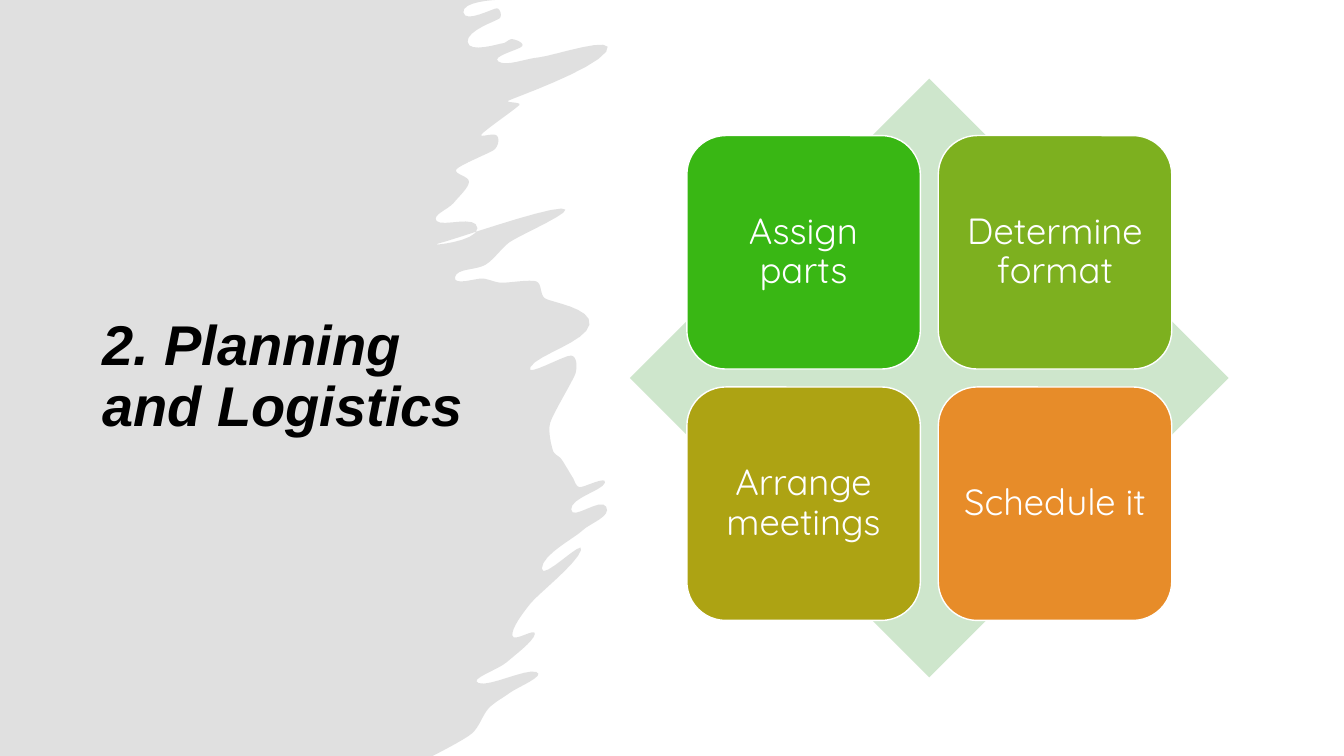
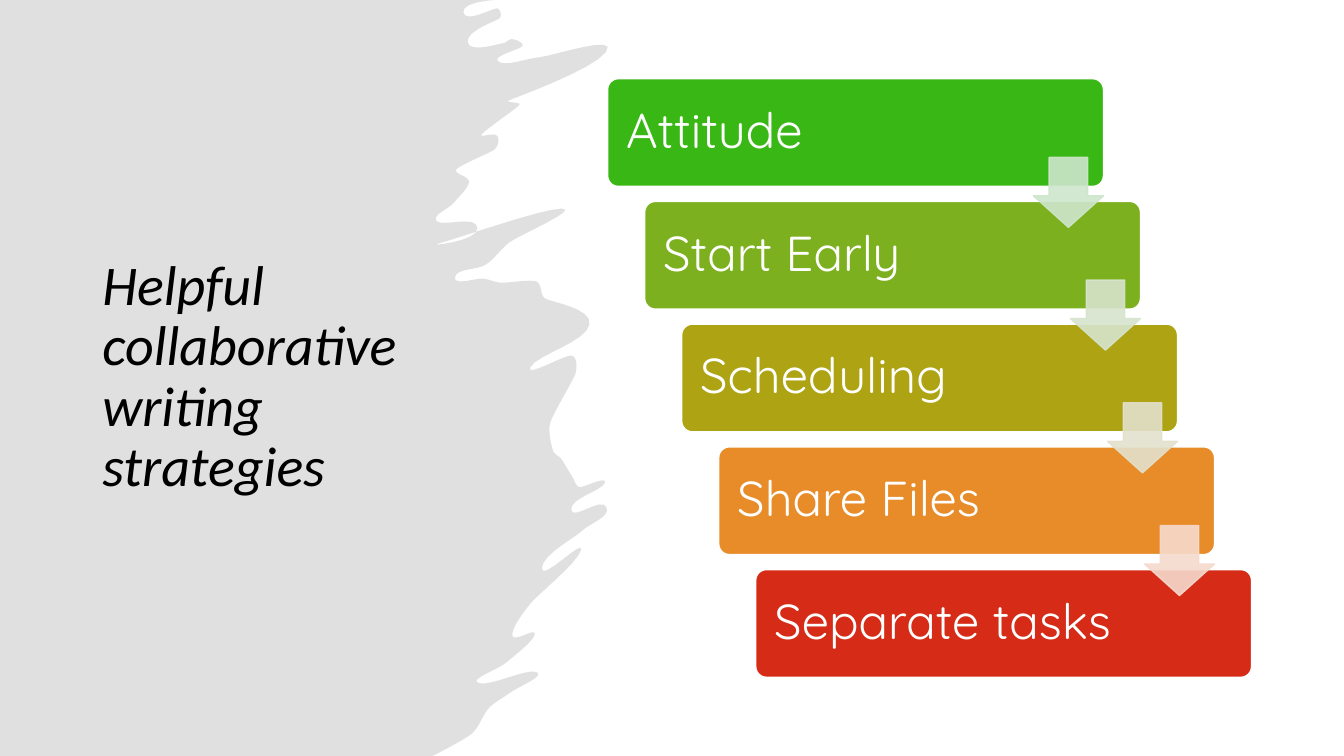
from collections import namedtuple
from dataclasses import dataclass

import pptx
import pptx.dml.color
import pptx.enum.shapes
import pptx.enum.text
import pptx.oxml
import pptx.oxml.ns
import pptx.util

Pt = pptx.util.Pt
Shapes = pptx.enum.shapes.MSO_SHAPE
Align = pptx.enum.text.PP_ALIGN
Box = namedtuple("Box", "left top width height")


@dataclass(frozen=True)
class Theme:
    brush: str = "D9D9D9"
    brush_opacity: int = 80
    title: str = "000000"
    label: str = "FFFFFF"
    diamond: str = "CEE6CC"
    accents: tuple = ("39B714", "7DB01F", "ADA313", "E78C29", "D52B17")
    arrows: tuple = ("CEE6CC", "D7E4CD", "E3E0CC", "F6DACD")
    arrow_opacity: int = 90
    label_font: str = "Quicksand"
    title_size: int = 40
    card_size: int = 26
    step_size: int = 35
    line_spacing: float = 0.9


THEME = Theme()

# Regions of the slide, in points
PAGE = Box(0, 0, 960, 540)
TITLE_BOX = Box(66, 56.2, 277.2, 427.6)
MATRIX_BOX = Box(450, 56.2, 427.6, 427.6)
STAIRS_BOX = Box(434, 56.2, 460, 427.6)

# Tips and notches of the ragged brush edge, from top to bottom, in points
BRUSH_EDGE = (
    (354, 0), (331, 9), (355, 6), (357, 13), (334, 30), (359, 31), (366, 28), (373, 33),
    (356, 44), (385, 41), (433, 37), (363, 72), (371, 75), (344, 96), (355, 97), (353, 107),
    (326, 121), (335, 130), (324, 145), (312, 158), (341, 163), (313, 174), (401, 149),
    (364, 173), (347, 189), (325, 198), (345, 199), (358, 202), (383, 201), (389, 213),
    (421, 232), (379, 262), (408, 254), (411, 267), (393, 302), (395, 322), (401, 328),
    (409, 341), (414, 348), (432, 345), (408, 364), (433, 362), (416, 379), (387, 406),
    (415, 393), (379, 431), (366, 454), (382, 453), (362, 473), (342, 488), (383, 480),
    (364, 495), (349, 506), (337, 524), (309, 540),
)


def rgb(color):
    return pptx.dml.color.RGBColor.from_string(color)


def paint(shape, fill, line=None, opacity=100):
    shape.shadow.inherit = False
    shape.fill.solid()
    shape.fill.fore_color.rgb = rgb(fill)
    if line:
        shape.line.color.rgb = rgb(line)
        shape.line.width = Pt(1)
    else:
        shape.line.fill.background()
    if opacity < 100:
        for color in shape.element.spPr.iter(pptx.oxml.ns.qn("a:srgbClr")):
            alpha = pptx.oxml.parse_xml(f'<a:alpha {pptx.oxml.ns.nsdecls("a")} val="{opacity * 1000}"/>')
            color.append(alpha)


def add_preset(slide, kind, box, fill, line=None, opacity=100, adjustments=()):
    shape = slide.shapes.add_shape(kind, *map(Pt, box))
    for index, value in enumerate(adjustments):
        shape.adjustments[index] = value
    paint(shape, fill, line, opacity)
    return shape


def write(shape, text, font, size, color, align=Align.LEFT, inset=None, bold=False, italic=False):
    frame = shape.text_frame
    frame.word_wrap = True
    frame.vertical_anchor = pptx.enum.text.MSO_ANCHOR.MIDDLE
    if inset is not None:
        frame.margin_left = frame.margin_right = Pt(inset)
        frame.margin_top = frame.margin_bottom = Pt(inset)
    paragraph = frame.paragraphs[0]
    paragraph.alignment = align
    paragraph.line_spacing = THEME.line_spacing
    run = paragraph.add_run()
    run.text = text
    run.font.name = font
    run.font.size = Pt(size)
    run.font.bold = bold
    run.font.italic = italic
    run.font.color.rgb = rgb(color)


def smooth(points, pieces=8):
    """Points along a soft curve through the given points."""
    knots = [complex(x, y) for x, y in points]
    handles = [0j]
    for before, knot, after in zip(knots, knots[1:], knots[2:]):
        chord = after - before
        reach = min(abs(knot - before), abs(after - knot)) / 3
        handles.append(chord / abs(chord) * reach)
    handles.append(0j)

    curve = [points[0]]
    for i in range(len(knots) - 1):
        start, end = knots[i], knots[i + 1]
        leave, arrive = start + handles[i], end - handles[i + 1]
        for piece in range(1, pieces + 1):
            t = piece / pieces
            u = 1 - t
            spot = u**3 * start + 3 * t * u**2 * leave + 3 * t**2 * u * arrive + t**3 * end
            curve.append((spot.real, spot.imag))
    return curve


def add_brush(slide, box):
    edge = [(Pt(x), Pt(y)) for x, y in smooth(BRUSH_EDGE)]
    outline = slide.shapes.build_freeform(0, 0)
    outline.add_line_segments([*edge, (0, Pt(box.height))], close=True)
    brush = outline.convert_to_shape(Pt(box.left), Pt(box.top))
    paint(brush, THEME.brush, opacity=THEME.brush_opacity)


def add_title(slide, box, text, font, bold):
    title = slide.shapes.add_textbox(*map(Pt, box))
    write(title, text, font, THEME.title_size, THEME.title, bold=bold, italic=True)


def add_matrix(slide, box, labels):
    """Four cards, two by two, over a diamond."""
    add_preset(slide, Shapes.DIAMOND, box, THEME.diamond)
    side, margin, pitch = (box.width * share for share in (0.39, 0.095, 0.42))
    for index, (label, color) in enumerate(zip(labels, THEME.accents)):
        row, column = divmod(index, 2)
        card_box = Box(box.left + margin + column * pitch, box.top + margin + row * pitch, side, side)
        card = add_preset(slide, Shapes.ROUNDED_RECTANGLE, card_box, color, THEME.label)
        write(card, label, THEME.label_font, THEME.card_size, THEME.label, Align.CENTER, inset=8)


def add_stairs(slide, box, labels):
    """Steps descending to the right, joined by arrows."""
    width, height = box.width * 0.77, box.height * 0.18
    gaps = len(labels) - 1
    pitch_x, pitch_y = (box.width - width) / gaps, (box.height - height) / gaps
    steps = [Box(box.left + i * pitch_x, box.top + i * pitch_y, width, height)
             for i in range(len(labels))]

    for step_box, label, color in zip(steps, labels, THEME.accents):
        step = add_preset(slide, Shapes.ROUNDED_RECTANGLE, step_box, color, THEME.label,
                          adjustments=(0.1,))
        write(step, label, THEME.label_font, THEME.step_size, THEME.label, inset=11)

    # Each arrow ends at the right edge of the step it leaves
    size = height * 0.65
    for step_box, color in zip(steps, THEME.arrows):
        arrow_box = Box(step_box.left + width - size, step_box.top + height * 0.73, size, size)
        add_preset(slide, Shapes.DOWN_ARROW, arrow_box, color, color, THEME.arrow_opacity,
                   adjustments=(0.55, 0.45))


def add_brush_slide(deck, title, font, bold=False):
    slide = deck.slides.add_slide(deck.slide_layouts[6])
    add_brush(slide, PAGE)
    add_title(slide, TITLE_BOX, title, font, bold)
    return slide


def main():
    deck = pptx.Presentation()
    deck.slide_width, deck.slide_height = Pt(PAGE.width), Pt(PAGE.height)

    planning = add_brush_slide(deck, "2. Planning and Logistics", "Arial", bold=True)
    add_matrix(planning, MATRIX_BOX,
               ("Assign parts", "Determine format", "Arrange meetings", "Schedule it"))

    strategies = add_brush_slide(deck, "Helpful collaborative writing strategies", "Calibri")
    add_stairs(strategies, STAIRS_BOX,
               ("Attitude", "Start Early", "Scheduling", "Share Files", "Separate tasks"))

    deck.save("out.pptx")


if __name__ == "__main__":
    main()
